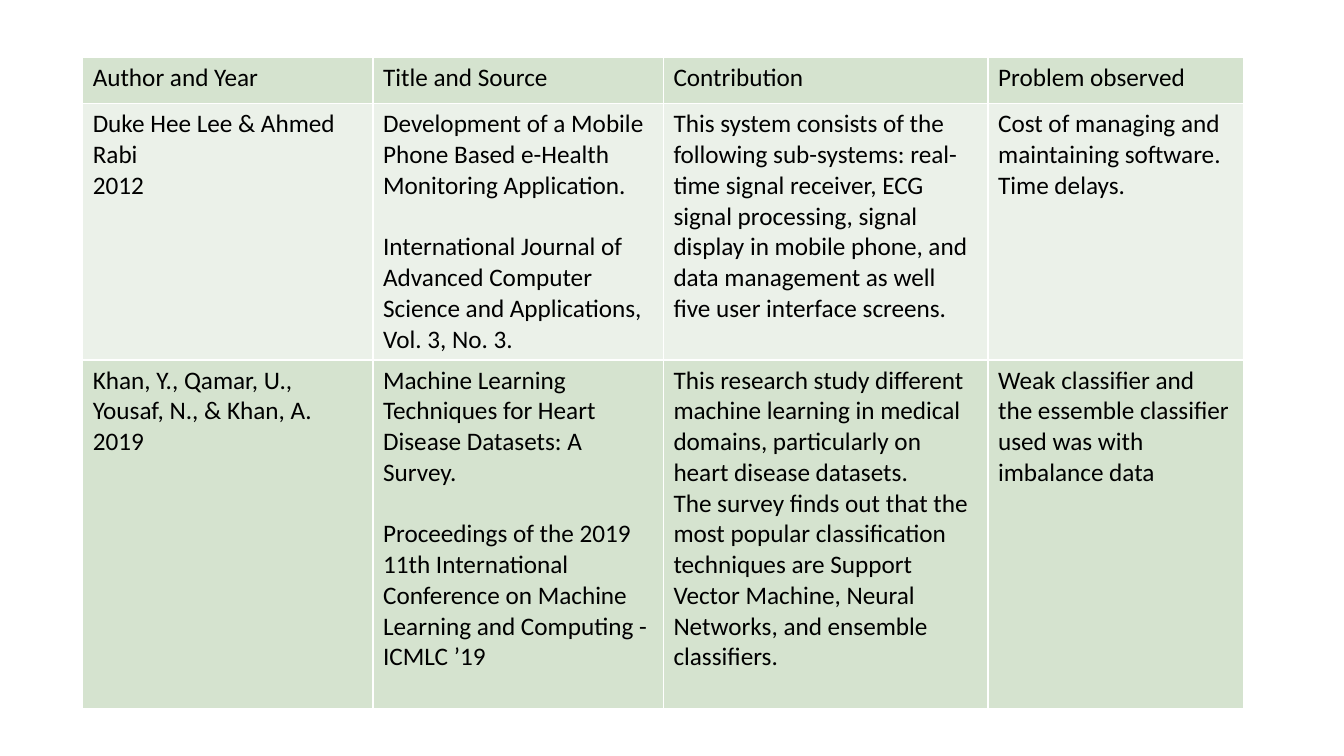
"""Build a literature review table slide."""
from lxml import etree
from pptx import Presentation
from pptx.dml.color import RGBColor
from pptx.oxml import ns
from pptx.util import Inches, Pt

ROWS = [
    [["Author and Year"], ["Title and Source"], ["Contribution"], ["Problem observed"]],
    [
        ["Duke Hee Lee & Ahmed Rabi", "2012"],
        ["Development of a Mobile Phone Based e-Health Monitoring Application.",
         "International Journal of Advanced Computer Science and Applications, Vol. 3, No. 3."],
        ["This system consists of the following sub-systems: real-time signal receiver, "
         "ECG signal processing, signal display in mobile phone, and data management "
         "as well five user interface screens."],
        ["Cost of managing and maintaining software.", "Time delays."],
    ],
    [
        ["Khan, Y., Qamar, U., Yousaf, N., & Khan, A.", "2019"],
        ["Machine Learning Techniques for Heart Disease Datasets: A Survey.",
         "Proceedings of the 2019 11th International Conference on Machine Learning "
         "and Computing - ICMLC ’19"],
        ["This research study different machine learning in medical domains, "
         "particularly on heart disease datasets.",
         "The survey finds out that the most popular classification techniques are "
         "Support Vector Machine, Neural Networks, and ensemble classifiers."],
        ["Weak classifier and the essemble classifier used was with imbalance data"],
    ],
]
WIDTHS = [2.88, 2.88, 3.22, 2.53]
HEIGHTS = [0.46, 2.54, 3.46]
LEFT, TOP = 0.82, 0.57
BANDS = ["D5E3CF", "EBF1E9"]
SOURCE = 1
GAP = Pt(22)
FONT = {"name": "Calibri", "size": Pt(18), "bold": False}


def paint(fill, color):
    fill.solid()
    fill.fore_color.rgb = RGBColor.from_string(color)


def edge(cell, color):
    props = cell._tc.get_or_add_tcPr()
    for side in "LRTB":
        line = etree.SubElement(props, ns.qn(f"a:ln{side}"), w=str(Pt(1)))
        solid = etree.SubElement(line, ns.qn("a:solidFill"))
        etree.SubElement(solid, ns.qn("a:srgbClr"), val=color)


def write(cell, lines, gap):
    frame = cell.text_frame
    for i, line in enumerate(lines):
        para = frame.add_paragraph() if i else frame.paragraphs[0]
        para.space_before = gap if i else Pt(0)
        run = para.add_run()
        run.text = line
        for key, value in FONT.items():
            setattr(run.font, key, value)
        paint(run.font.fill, "000000")


def main():
    deck = Presentation()
    deck.slide_width, deck.slide_height = Inches(13.33), Inches(7.5)
    slide = deck.slides.add_slide(deck.slide_layouts[6])
    table = slide.shapes.add_table(
        len(ROWS), len(WIDTHS), Inches(LEFT), Inches(TOP),
        Inches(sum(WIDTHS)), Inches(sum(HEIGHTS))).table
    table.first_row = table.horz_banding = False
    for col, width in zip(table.columns, WIDTHS):
        col.width = Inches(width)
    for r, (row, height) in enumerate(zip(ROWS, HEIGHTS)):
        table.rows[r].height = Inches(height)
        for c, lines in enumerate(row):
            cell = table.cell(r, c)
            write(cell, lines, GAP if c == SOURCE else Pt(0))
            edge(cell, "FFFFFF")
            paint(cell.fill, BANDS[r % 2])
    deck.save("out.pptx")


if __name__ == "__main__":
    main()
